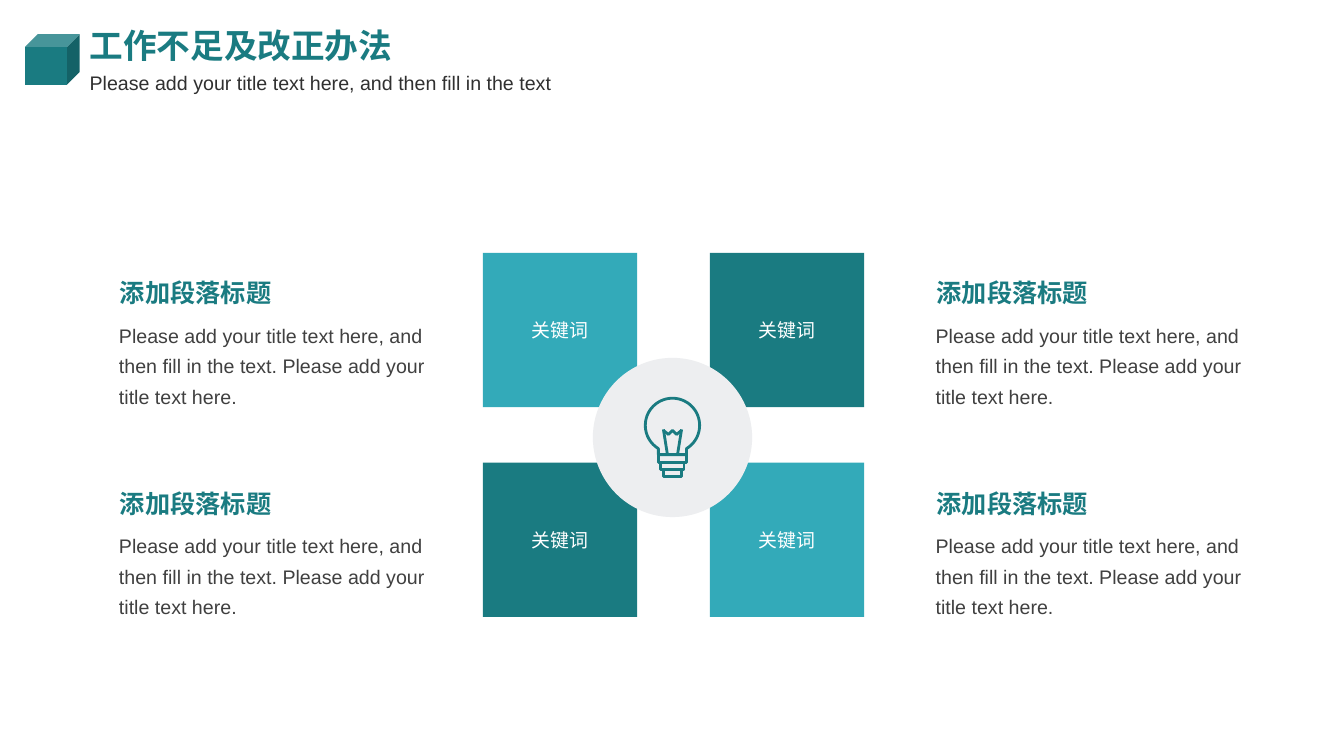
from math import atan2, cos, hypot, pi, sin
from lxml.etree import SubElement
from pptx import Presentation
from pptx.dml.color import RGBColor
from pptx.enum.shapes import MSO_CONNECTOR, MSO_SHAPE
from pptx.enum.text import MSO_ANCHOR, MSO_AUTO_SIZE, PP_ALIGN
from pptx.oxml.ns import qn
from pptx.util import Pt

PX = 9144  # 100 px to the inch
COLORS = {
    "teal": "1A7B81", "aqua": "33AAB9", "pale": "EDEEF0",
    "white": "FFFFFF", "dark": "303030", "gray": "404040",
}
BODY = ("Please add your title text here, and then fill in the text. "
        "Please add your title text here.")


def color(name):
    return RGBColor.from_string(COLORS[name])


def emu(*sizes):
    return [round(size * PX) for size in sizes]


def write(shape, text, size, tint, bold=False, spacing=None, inset=(10, 5),
          align=PP_ALIGN.LEFT, anchor=MSO_ANCHOR.TOP):
    frame = shape.text_frame
    frame.text = text
    frame.word_wrap = True
    frame.auto_size = MSO_AUTO_SIZE.NONE
    frame.vertical_anchor = anchor
    frame.margin_left = frame.margin_right = inset[0] * PX
    frame.margin_top = frame.margin_bottom = inset[1] * PX
    para = frame.paragraphs[0]
    para.alignment = align
    para.line_spacing = spacing
    font = para.runs[0].font
    font.name, font.size, font.bold = "Arial", Pt(size), bold
    font.color.rgb = color(tint)


def label(slide, box, text, size, tint, **style):
    write(slide.shapes.add_textbox(*emu(*box)), text, size, tint, **style)


def block(slide, kind, box, fill):
    shape = slide.shapes.add_shape(kind, *emu(*box))
    shape.shadow.inherit = False
    shape.fill.solid()
    shape.fill.fore_color.rgb = color(fill)
    shape.line.fill.background()
    return shape


def stroke(shape):
    shape.line.color.rgb = color("teal")
    shape.line.width = Pt(2)


def hollow(shape):
    shape.shadow.inherit = False
    shape.fill.background()
    stroke(shape)


def trace(group, points, close):
    points = [emu(*point) for point in points]
    pen = group.shapes.build_freeform(*points[0])
    pen.add_line_segments(points[1:], close=close)
    hollow(pen.convert_to_shape())


def header(slide, x, y):
    block(slide, MSO_SHAPE.CUBE, (x, y + 14, 54, 50), "teal")
    title = slide.shapes.title
    title.left, title.top, title.width, title.height = emu(x + 54, y, 353, 50)
    write(title, "工作不足及改正办法", 24, "teal", bold=True)
    label(slide, (x + 54, y + 38, 549, 38),
          "Please add your title text here, and then fill in the text",
          14, "dark", spacing=1.3)


def tiles(slide, x, y):
    for row in range(2):
        for col in range(2):
            fill = "aqua" if row == col else "teal"
            tile = block(slide, MSO_SHAPE.RECTANGLE,
                         (x + col * 225, y + row * 208, 153, 153), fill)
            write(tile, "关键词", 13.5, "white", align=PP_ALIGN.CENTER,
                  anchor=MSO_ANCHOR.MIDDLE)


def notes(slide, x, y, width):
    """Two headed paragraphs, one below the other."""
    for top in (y, y + 209):
        label(slide, (x + 1, top, 205, 30), "添加段落标题", 18, "teal",
              bold=True, inset=(0, 0))
        label(slide, (x, top + 39, width, 89), BODY, 14, "gray",
              spacing=1.3, inset=(0, 0))


def bulb(slide, x, y):
    """Line icon whose glass is centred on x, y."""
    group = slide.shapes.add_group_shape()
    neck, radius = (14, 23), hypot(14, 23)
    start = pi - atan2(neck[1], neck[0])
    sweep = 2 * pi - (2 * start - pi)
    steps = 60
    glass = [(x - 14, y + 29)]
    for step in range(steps + 1):
        angle = start + sweep * step / steps
        glass.append((x + radius * cos(angle), y + radius * sin(angle)))
    glass.append((x + 14, y + 29))
    trace(group, glass, True)
    for side in (-1, 1):
        wire = group.shapes.add_connector(
            MSO_CONNECTOR.STRAIGHT,
            *emu(x + side * 5, y + 29, x + side * 9, y + 4))
        stroke(wire)
        SubElement(wire._element.spPr, qn("a:effectLst"))
    zigzag = [(x + dx, y + dy) for dx, dy in
              ((-9, 5), (-4, 9), (0, 5), (4, 9), (9, 5))]
    trace(group, zigzag, False)
    for top, width, height in ((29, 28, 8), (37, 23, 7), (44, 18, 7)):
        hollow(group.shapes.add_shape(
            MSO_SHAPE.RECTANGLE,
            *emu(x - width / 2, y + top, width, height)))


def main():
    deck = Presentation()
    deck.slide_width, deck.slide_height = emu(1333, 750)
    slide = deck.slides.add_slide(deck.slide_layouts[5])
    header(slide, 25, 20)
    tiles(slide, 479, 251)
    notes(slide, 928, 275, 309)
    notes(slide, 118, 275, 315)
    block(slide, MSO_SHAPE.OVAL, (588, 355, 158, 158), "pale")
    bulb(slide, 667, 422)
    deck.save("out.pptx")


if __name__ == "__main__":
    main()
